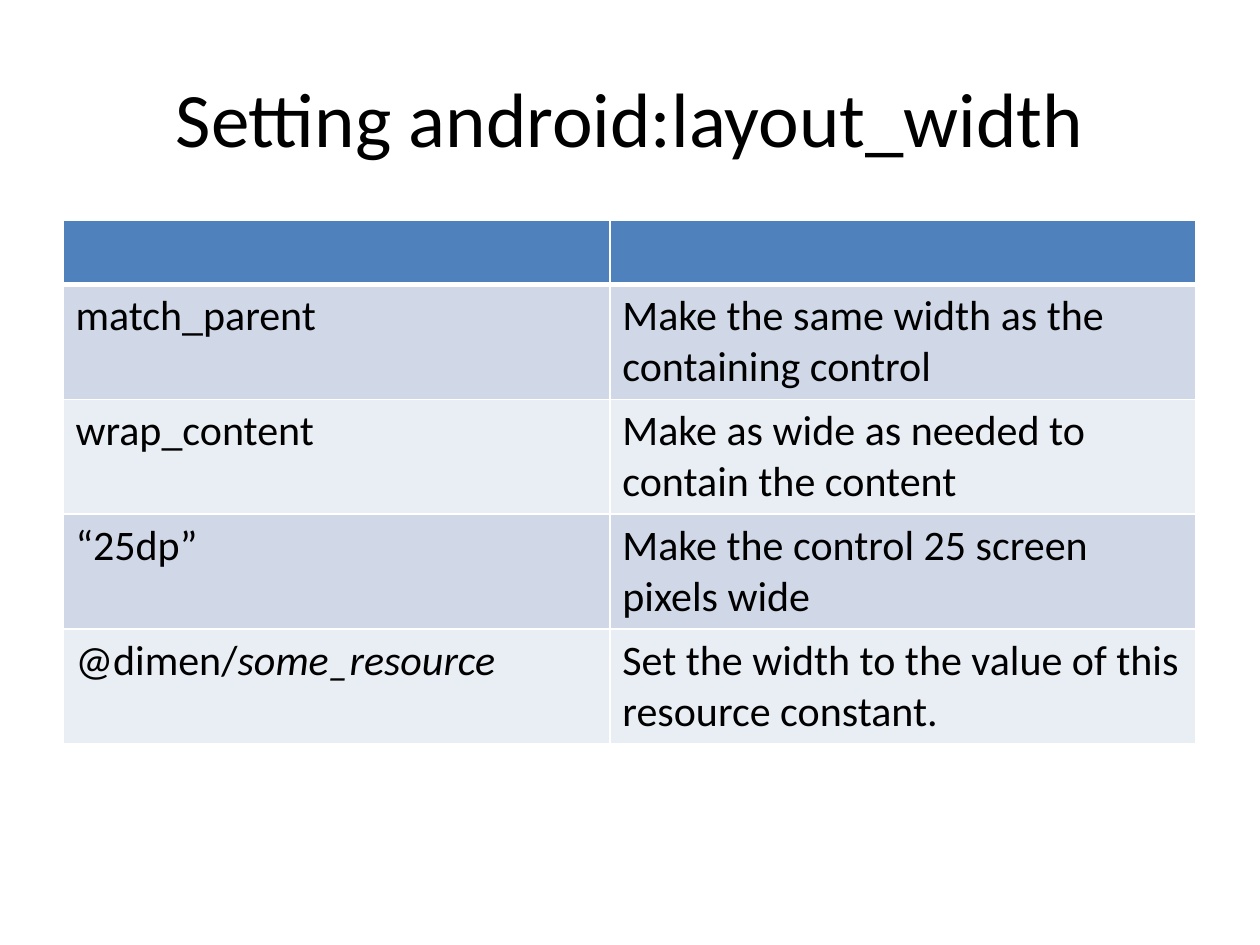
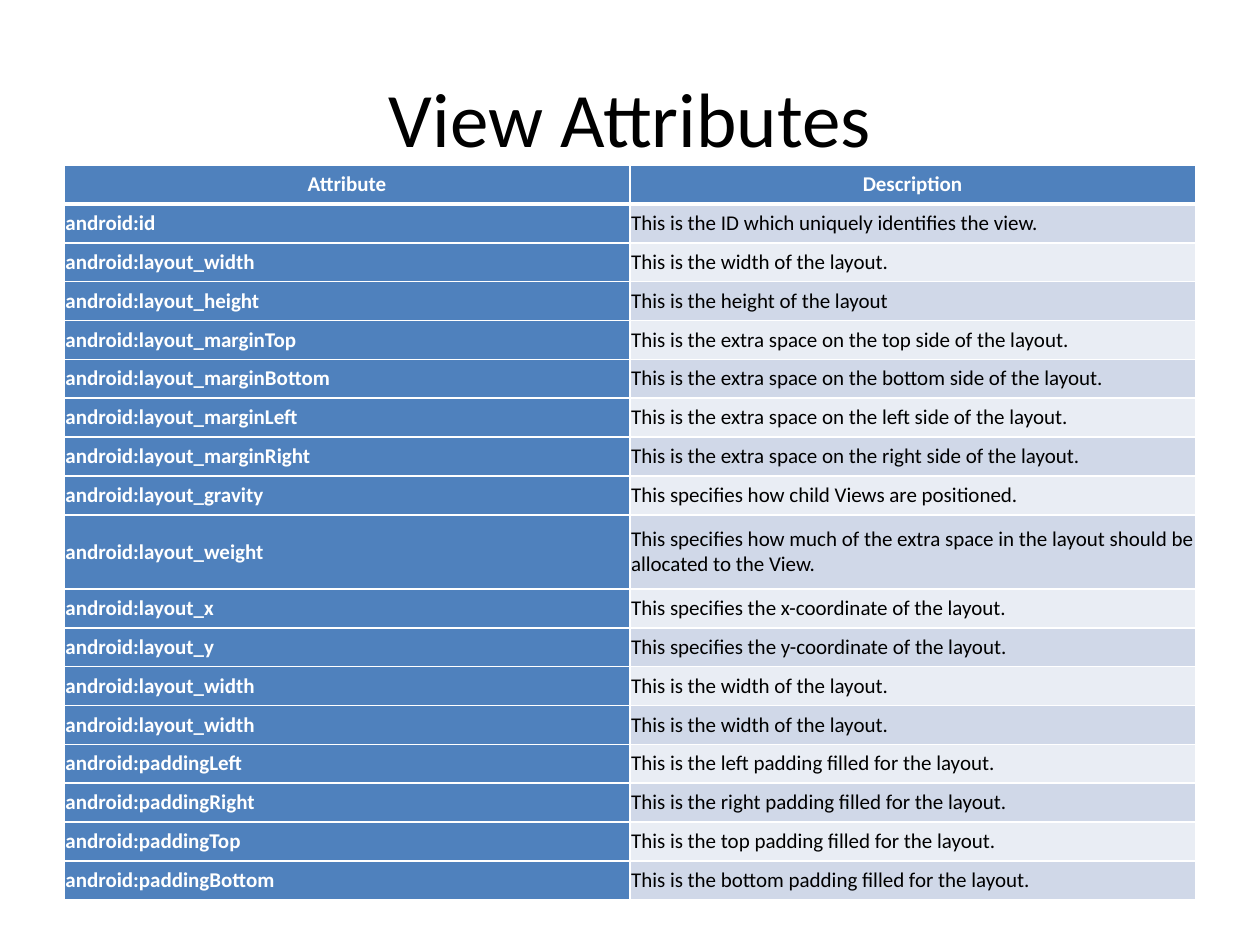
"""Builds two slides of layout attribute tables."""
from lxml import etree
from pptx import Presentation
from pptx.dml.color import RGBColor
from pptx.enum import text
from pptx.oxml import ns
from pptx.util import Pt

FONT = "Calibri"
BLUE, WHITE, BLACK = "4F81BD", "FFFFFF", "000000"
BANDS = ("D0D8E8", "E9EDF4")
MID = text.MSO_ANCHOR.MIDDLE
CENTER = text.PP_ALIGN.CENTER

WIDTHS = [
    ("", ""),
    ("match_parent", "Make the same width as the containing control"),
    ("wrap_content", "Make as wide as needed to contain the content"),
    ("“25dp”", "Make the control 25 screen pixels wide"),
    (("@dimen/", "some_resource"), "Set the width to the value of this resource constant."),
]
ATTRS = [
    ("Attribute", "Description"),
    ("android:id", "This is the ID which uniquely identifies the view."),
    ("android:layout_width", "This is the width of the layout."),
    ("android:layout_height", "This is the height of the layout"),
    ("android:layout_marginTop", "This is the extra space on the top side of the layout."),
    ("android:layout_marginBottom", "This is the extra space on the bottom side of the layout."),
    ("android:layout_marginLeft", "This is the extra space on the left side of the layout."),
    ("android:layout_marginRight", "This is the extra space on the right side of the layout."),
    ("android:layout_gravity", "This specifies how child Views are positioned."),
    ("android:layout_weight",
     "This specifies how much of the extra space in the layout should be allocated to the View."),
    ("android:layout_x", "This specifies the x-coordinate of the layout."),
    ("android:layout_y", "This specifies the y-coordinate of the layout."),
    ("android:layout_width", "This is the width of the layout."),
    ("android:layout_width", "This is the width of the layout."),
    ("android:paddingLeft", "This is the left padding filled for the layout."),
    ("android:paddingRight", "This is the right padding filled for the layout."),
    ("android:paddingTop", "This is the top padding filled for the layout."),
    ("android:paddingBottom", "This is the bottom padding filled for the layout."),
]
PAGES = [
    dict(title="Setting android:layout_width", rows=WIDTHS, left=36, top=126,
         cols=(312.5, 334.8), high=[36.5] + [65.7] * 4, size=24),
    dict(title="View Attributes", rows=ATTRS, left=36.7, top=94.4,
         cols=(323.2, 323.2), high=[42.4 if "weight" in a else 22.2 for a, _ in ATTRS],
         size=12, inset=0.72, side=True),
]


def rgb(code):
    return RGBColor.from_string(code)


def style(run, size, color, bold=False, italic=False):
    font = run.font
    font.name, font.size = FONT, Pt(size)
    font.bold, font.italic = bold, italic
    font.color.rgb = rgb(color)


def add_title(slide, words):
    box = slide.shapes.add_textbox(Pt(36), Pt(21.6), Pt(648), Pt(90))
    frame = box.text_frame
    frame.word_wrap = True
    frame.vertical_anchor = MID
    frame.text = words
    para = frame.paragraphs[0]
    para.alignment = CENTER
    style(para.runs[0], 44, BLACK)


def add_edges(cell, row):
    props = cell._tc.get_or_add_tcPr()
    thick = {"T": row == 1, "B": row == 0}
    for side in "LRTB":
        line = etree.SubElement(props, ns.qn("a:ln" + side))
        line.set("w", str(Pt(3 if thick.get(side) else 1)))
        fill = etree.SubElement(line, ns.qn("a:solidFill"))
        etree.SubElement(fill, ns.qn("a:srgbClr")).set("val", WHITE)


def fill_cell(cell, words, row, col, size, inset, side):
    head = row == 0
    dark = head or (side and col == 0)
    add_edges(cell, row)
    cell.fill.solid()
    cell.fill.fore_color.rgb = rgb(BLUE if dark else BANDS[(row - 1) % 2])
    if inset is not None:
        cell.margin_left = cell.margin_right = Pt(inset)
        cell.margin_top = cell.margin_bottom = Pt(inset)
        cell.vertical_anchor = MID
    para = cell.text_frame.paragraphs[0]
    if head:
        para.alignment = CENTER
    parts = (words,) if isinstance(words, str) else words
    for i, part in enumerate(parts):
        if part:
            run = para.add_run()
            run.text = part
            style(run, size, WHITE if dark else BLACK, dark, i == 1)


def add_grid(slide, rows, left, top, cols, high, size, inset=None, side=False):
    frame = slide.shapes.add_table(len(rows), len(cols), Pt(left), Pt(top),
                                   Pt(sum(cols)), Pt(sum(high)))
    table = frame.table
    table.horz_banding = False
    for col, width in zip(table.columns, cols):
        col.width = Pt(width)
    for r, row in enumerate(rows):
        table.rows[r].height = Pt(high[r])
        for c, words in enumerate(row):
            fill_cell(table.cell(r, c), words, r, c, size, inset, side)


def main():
    deck = Presentation()
    deck.slide_width, deck.slide_height = Pt(720), Pt(540)
    for page in PAGES:
        slide = deck.slides.add_slide(deck.slide_layouts[6])
        grid = dict(page)
        add_title(slide, grid.pop("title"))
        add_grid(slide, **grid)
    deck.save("out.pptx")


if __name__ == "__main__":
    main()
